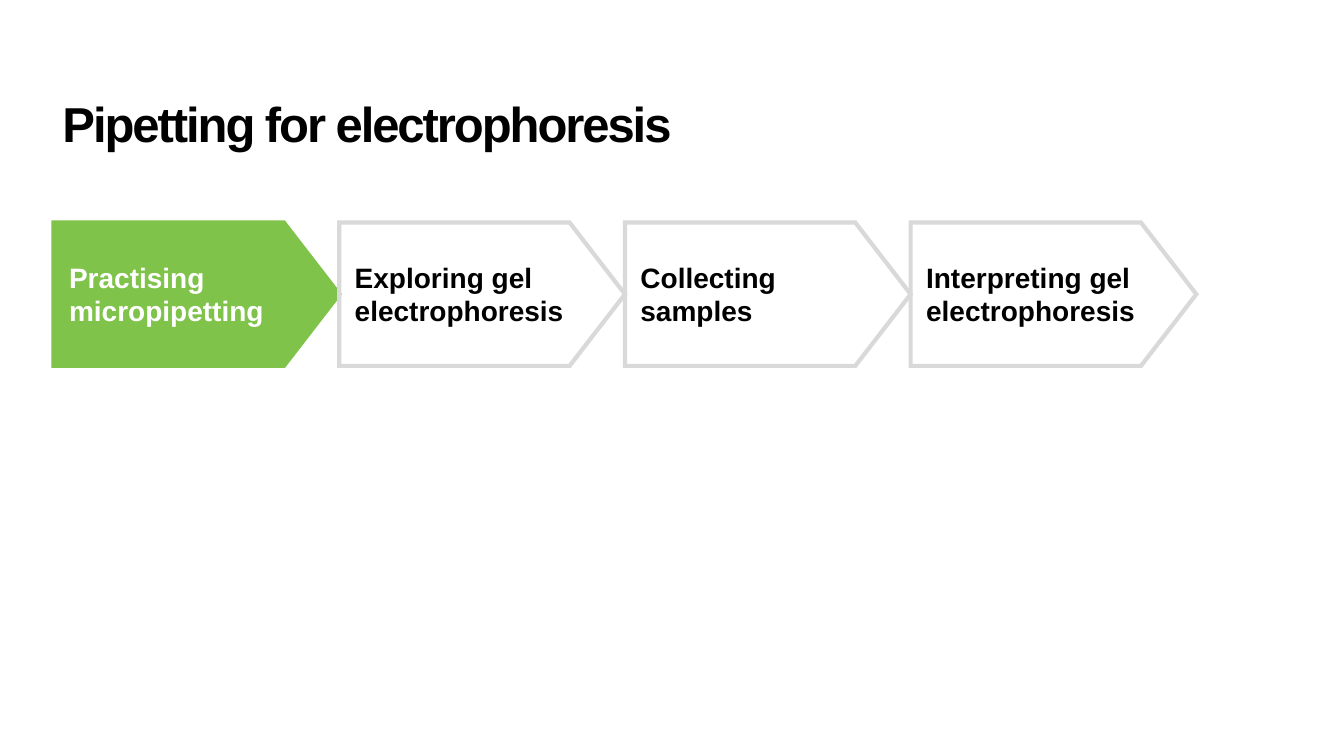
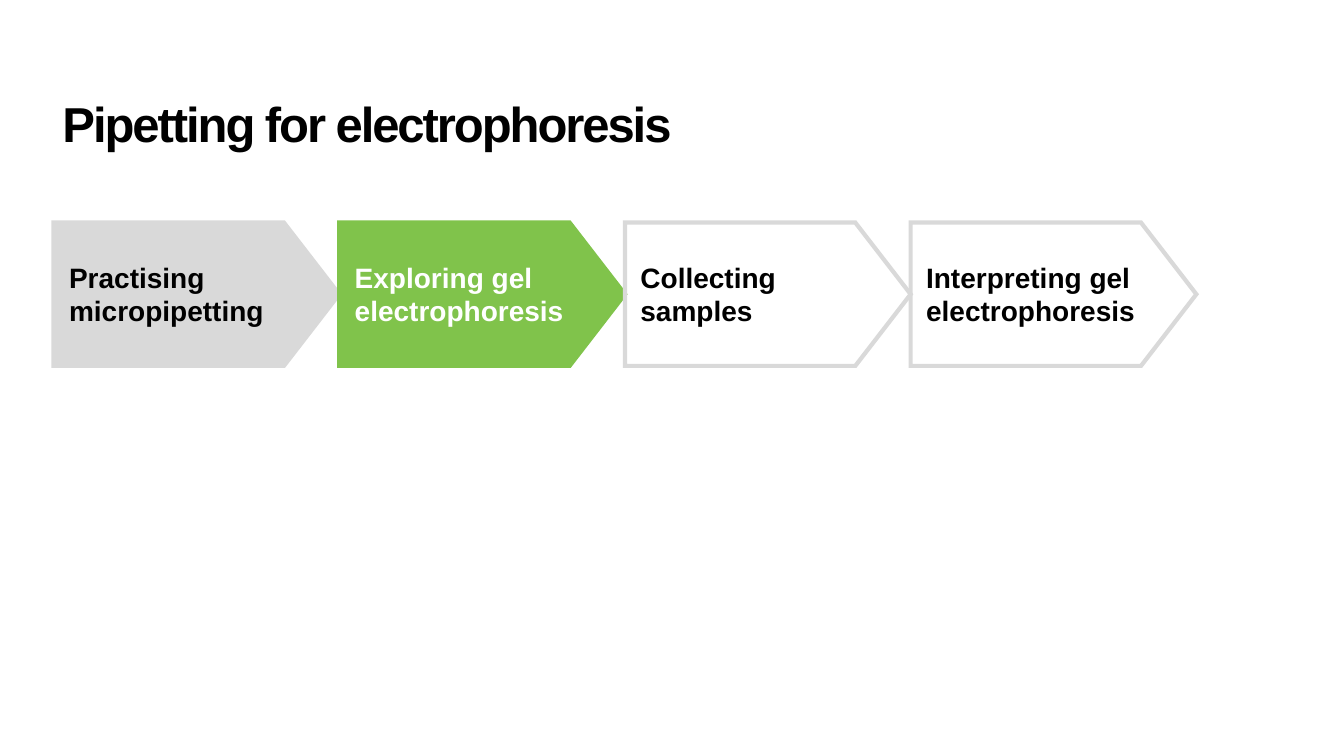
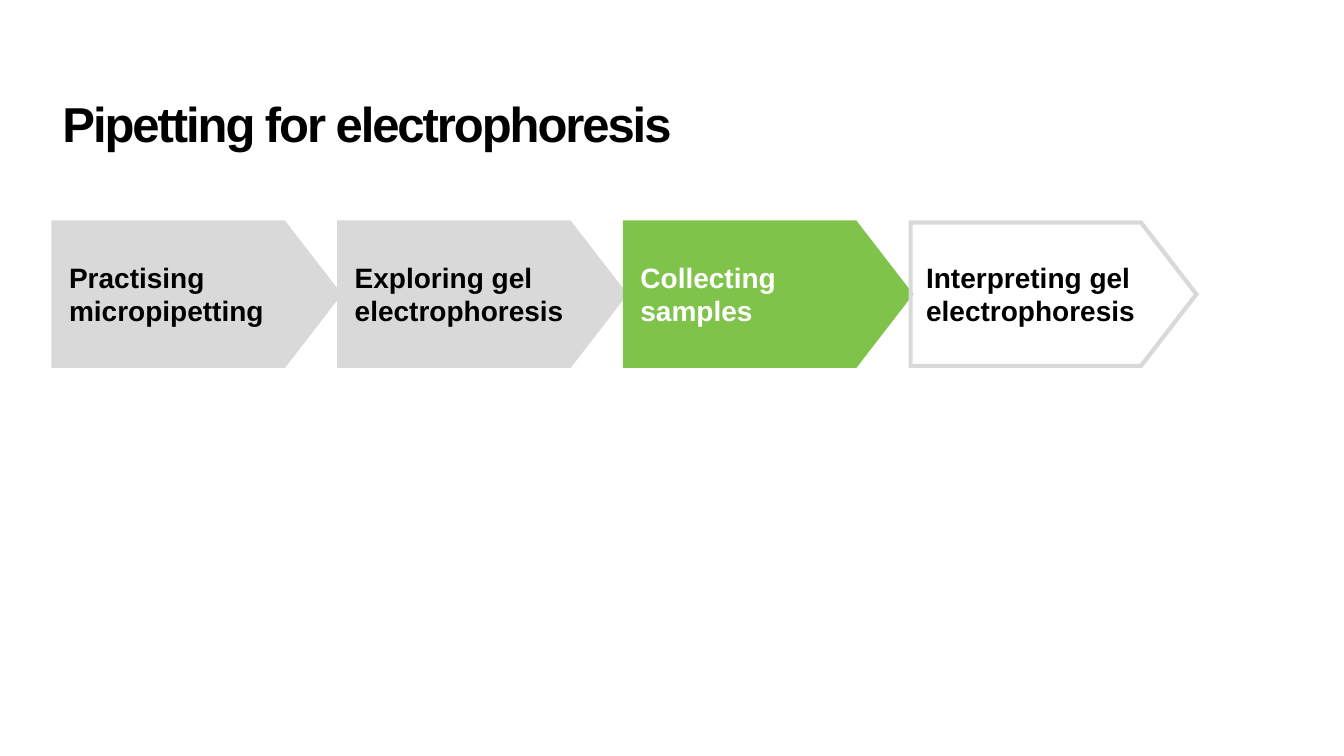
import pptx
import pptx.dml.color
import pptx.enum.shapes
import pptx.enum.text
import pptx.oxml.xmlchemy
import pptx.util
from pptx.util import Cm

GREEN = pptx.dml.color.RGBColor(0x80, 0xC3, 0x4B)
GREY = pptx.dml.color.RGBColor(0xD9, 0xD9, 0xD9)
BLACK = pptx.dml.color.RGBColor(0x00, 0x00, 0x00)
WHITE = pptx.dml.color.RGBColor(0xFF, 0xFF, 0xFF)

TITLE = "Pipetting for electrophoresis"
# Each step: its text and the width of its label in centimetres
STEPS = [
    ("Practising micropipetting", 6),
    ("Exploring gel electrophoresis", 6.15),
    ("Collecting samples", 6),
    ("Interpreting gel electrophoresis", 6.15),
]


def write_text(frame, text, size, color, tracking=None, line_spacing=None):
    """Fill the frame with one bold paragraph; tracking is in points."""
    frame.word_wrap = True
    frame.vertical_anchor = pptx.enum.text.MSO_ANCHOR.TOP
    para = frame.paragraphs[0]
    para.alignment = pptx.enum.text.PP_ALIGN.LEFT
    if line_spacing:
        para.line_spacing = line_spacing
    span = para.add_run()
    span.text = text
    span.font.name = "Arial"
    span.font.size = pptx.util.Pt(size)
    span.font.bold = True
    span.font.color.rgb = color
    if tracking is not None:
        span.font._element.set("spc", str(round(tracking * 100)))


class ProcessDeck:
    """Builds slides that show the progress through a row of steps."""

    STEP_LEFT, STEP_TOP = 1.35, 5.61
    STEP_WIDTH, STEP_HEIGHT = 7.2, 3.61
    LABEL_INDENT, LABEL_TOP, LABEL_HEIGHT = 0.14, 6.43, 1.96

    def __init__(self):
        self.deck = pptx.Presentation()
        self.deck.slide_width = Cm(33.87)
        self.deck.slide_height = Cm(19.05)
        self.slide = None

    def add_slide(self, title):
        self.slide = self.deck.slides.add_slide(self.deck.slide_layouts[5])
        box = self.slide.shapes.title
        box.left, box.top = Cm(1.32), Cm(2.64)
        box.width, box.height = Cm(31.22), Cm(2.64)
        frame = box.text_frame
        frame.auto_size = pptx.enum.text.MSO_AUTO_SIZE.NONE
        frame.margin_top = 0
        write_text(frame, title, 35, BLACK, tracking=-1.5, line_spacing=0.8)

    def step_left(self, index):
        return self.STEP_LEFT + index * self.STEP_WIDTH

    def add_arrow(self, index, line_color, filled):
        arrow = self.slide.shapes.add_shape(
            pptx.enum.shapes.MSO_SHAPE.PENTAGON,
            Cm(self.step_left(index)), Cm(self.STEP_TOP),
            Cm(self.STEP_WIDTH), Cm(self.STEP_HEIGHT))
        arrow.adjustments[0] = 0.386
        arrow.shadow.inherit = False
        if filled:
            arrow.fill.solid()
            arrow.fill.fore_color.rgb = line_color
        else:
            arrow.fill.background()
        arrow.line.color.rgb = line_color
        arrow.line.width = pptx.util.Pt(3)
        miter = pptx.oxml.xmlchemy.OxmlElement("a:miter")
        miter.set("lim", "800000")
        arrow.line._get_or_add_ln().append(miter)

    def add_label(self, index, text, width, color):
        box = self.slide.shapes.add_textbox(
            Cm(self.step_left(index) + self.LABEL_INDENT), Cm(self.LABEL_TOP),
            Cm(width), Cm(self.LABEL_HEIGHT))
        write_text(box.text_frame, text, 20, color)
        box.text_frame.auto_size = pptx.enum.text.MSO_AUTO_SIZE.SHAPE_TO_FIT_TEXT

    def add_progress(self, current):
        """Draw finished steps grey, the current one green, later ones hollow."""
        for index in range(len(STEPS)):
            self.add_arrow(index, GREEN if index == current else GREY,
                           filled=index <= current)
        for index, (text, width) in enumerate(STEPS):
            self.add_label(index, text, width,
                           WHITE if index == current else BLACK)


def main():
    process = ProcessDeck()
    for current in range(3):
        process.add_slide(TITLE)
        process.add_progress(current)
    process.deck.save("out.pptx")


if __name__ == "__main__":
    main()
